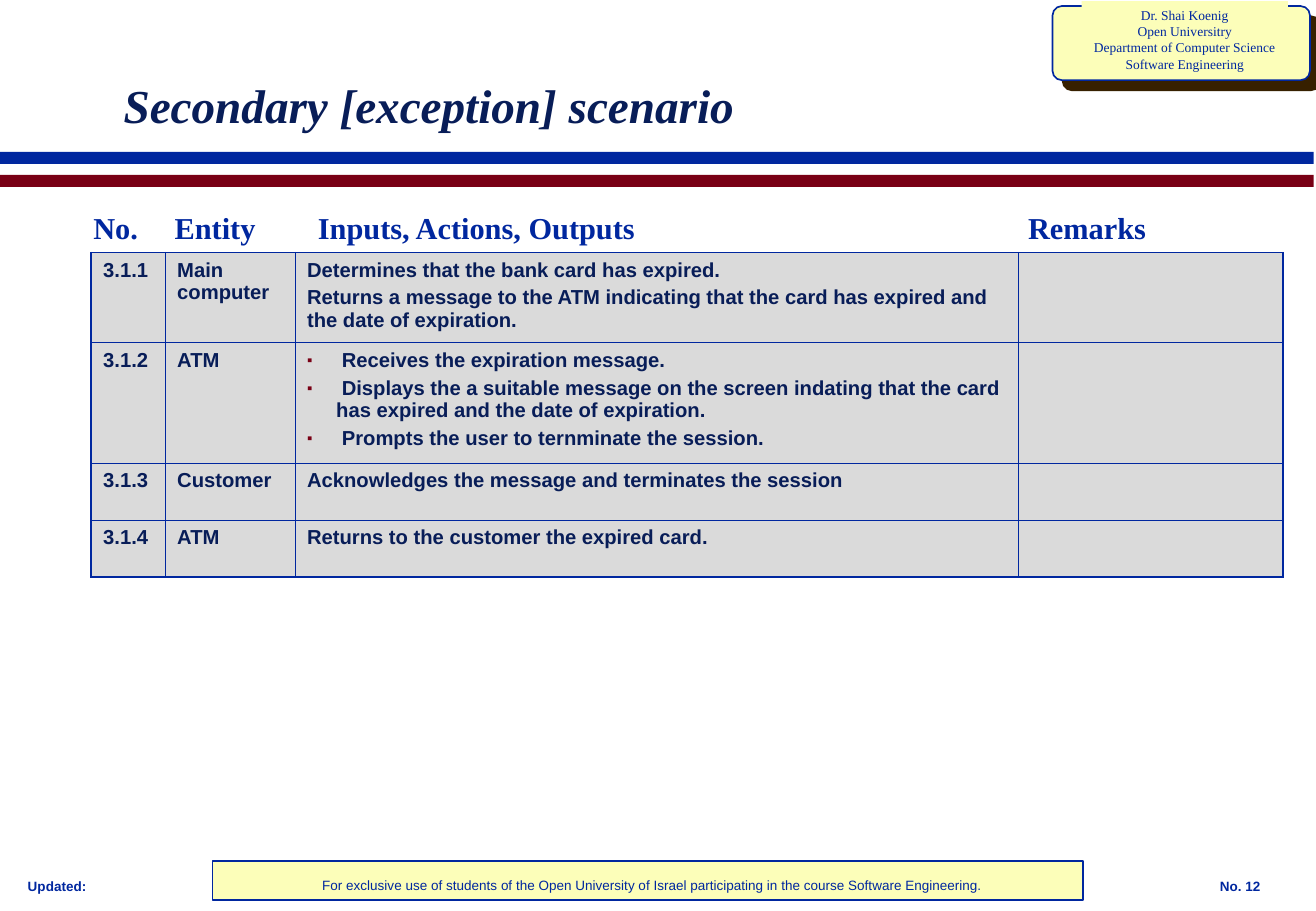
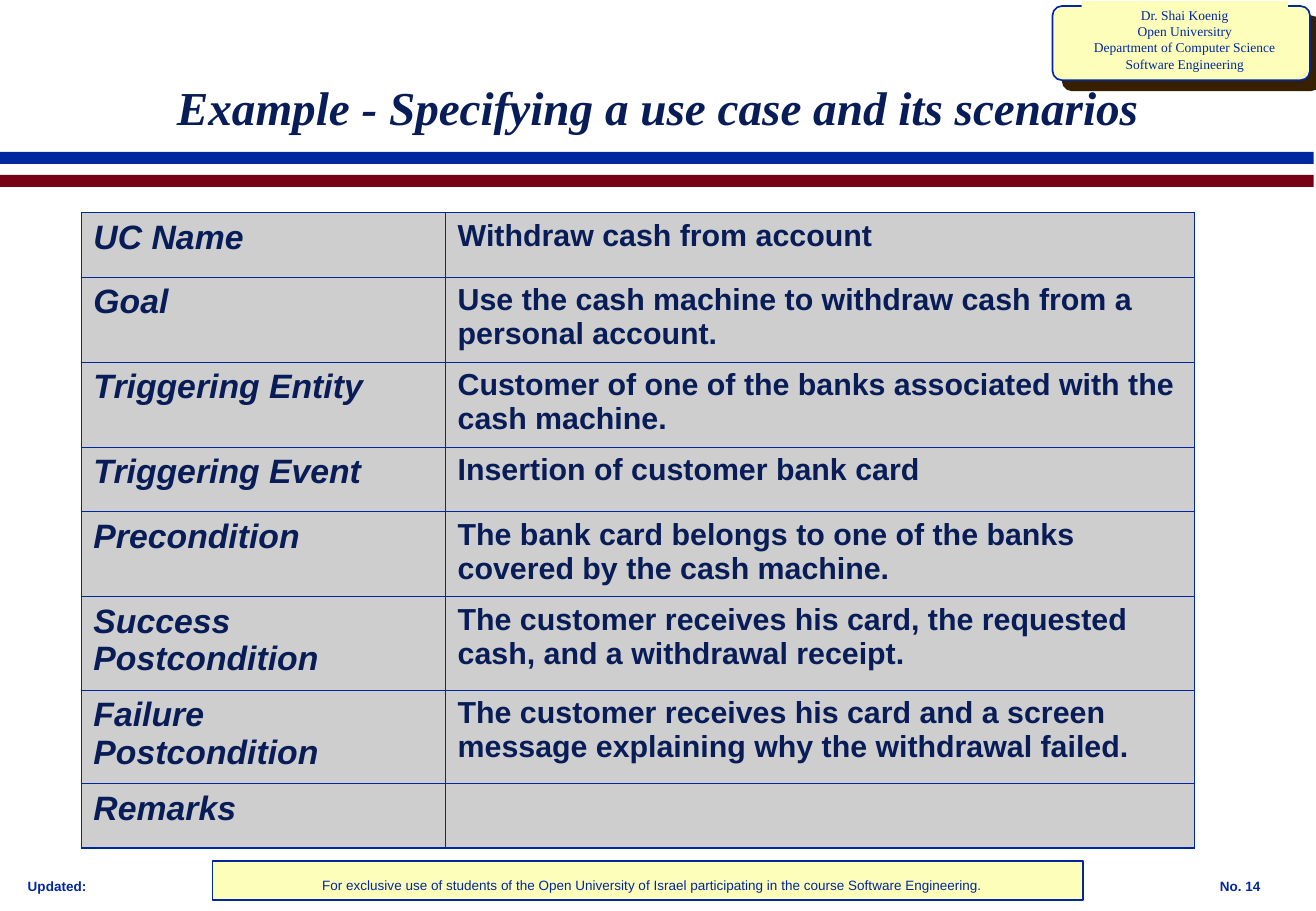
from lxml import etree
from pptx import Presentation
from pptx.dml.color import RGBColor
from pptx.enum.shapes import MSO_SHAPE
from pptx.enum.text import MSO_ANCHOR, PP_ALIGN
from pptx.oxml.ns import qn
from pptx.util import Pt

RECT, ROUND = MSO_SHAPE.RECTANGLE, MSO_SHAPE.ROUNDED_RECTANGLE
LEFT, CENTER = PP_ALIGN.LEFT, PP_ALIGN.CENTER
TOP, MIDDLE = MSO_ANCHOR.TOP, MSO_ANCHOR.MIDDLE
SERIF, SANS = "Times New Roman", "Arial"
EMU_PER_PX = 9144
OUTER, INNER = 1.08, 0.45

COLORS = {
    "blue": "00279F",
    "maroon": "790015",
    "yellow": "FCFEB9",
    "brown": "372000",
    "navy": "081D58",
    "light": "DADADA",
    "gray": "CECECE",
}

BADGE = "Dr. Shai Koenig\nOpen Universitry\nDepartment of Computer Science\nSoftware Engineering"
NOTICE = ("For exclusive use of students of the Open University of Israel "
          "participating in the course Software Engineering.")

SCENARIO = [
    ("3.1.1", "Main computer",
     "Determines that the bank card has expired.\n"
     "Returns a message to the ATM indicating that the card has expired and the date of expiration.", ""),
    ("3.1.2", "ATM",
     " Receives the expiration message.\n"
     " Displays the a suitable message on the screen indating that the card has expired "
     "and the date of expiration.\n"
     " Prompts the user to ternminate the session.", ""),
    ("3.1.3", "Customer", "Acknowledges the message and terminates the session", ""),
    ("3.1.4", "ATM", "Returns to the customer the expired card.", ""),
]

USE_CASE = [
    ("UC Name", "Withdraw cash from account"),
    ("Goal", "Use the cash machine to withdraw cash from a personal account."),
    ("Triggering Entity", "Customer of one of the banks associated with the cash machine."),
    ("Triggering Event", "Insertion of customer bank card"),
    ("Precondition", "The bank card belongs to one of the banks covered by the cash machine."),
    ("Success Postcondition",
     "The customer receives his card, the requested cash, and a withdrawal receipt."),
    ("Failure Postcondition",
     "The customer receives his card and a screen message explaining why the withdrawal failed."),
    ("Remarks", ""),
]


def px(n):
    return n * EMU_PER_PX


def rgb(name):
    return RGBColor.from_string(COLORS[name])


def sub(parent, tag, **attrs):
    return etree.SubElement(parent, qn(tag), {k: str(v) for k, v in attrs.items()})


def add_bullet(p):
    pPr = p._p.get_or_add_pPr()
    pPr.set("marL", str(px(24)))
    pPr.set("indent", str(-px(24)))
    sub(sub(pPr, "a:buClr"), "a:srgbClr", val=COLORS["maroon"])
    sub(pPr, "a:buSzPct", val=75000)
    sub(pPr, "a:buFont", typeface=SANS)
    sub(pPr, "a:buChar", char="▪")


def add_tabs(p, stops):
    tabs = sub(p._p.get_or_add_pPr(), "a:tabLst")
    for stop in stops:
        sub(tabs, "a:tab", pos=px(stop), algn="l")


def write_text(tf, text, size=8, color="blue", font=SANS, bold=False, italic=False,
               align=LEFT, gap=0, bullet=False, tabs=()):
    for i, line in enumerate(text.split("\n")):
        p = tf.add_paragraph() if i else tf.paragraphs[0]
        if bullet:
            add_bullet(p)
        if tabs:
            add_tabs(p, tabs)
        p.alignment = align
        if i and gap:
            p.space_before = Pt(gap)
        r = p.add_run()
        r.text = line
        f = r.font
        f.size, f.name, f.bold, f.italic = Pt(size), font, bold, italic
        f.color.rgb = rgb(color)


def add_text(s, box, text, anchor=TOP, inset=10, **fmt):
    tf = s.shapes.add_textbox(*map(px, box)).text_frame
    tf.word_wrap = True
    tf.vertical_anchor = anchor
    tf.margin_left = tf.margin_right = px(inset)
    tf.margin_top = tf.margin_bottom = px(5)
    write_text(tf, text, **fmt)


def add_box(s, box, fill, line=None, shape=RECT):
    sp = s.shapes.add_shape(shape, *map(px, box))
    sp.shadow.inherit = False
    sp.fill.solid()
    sp.fill.fore_color.rgb = rgb(fill)
    if line:
        sp.line.color.rgb = rgb(line)
        sp.line.width = Pt(1)
    else:
        sp.line.fill.background()
    return sp


def add_badge(s):
    sp = add_box(s, (867, 5, 212, 61), "yellow", "blue", ROUND)
    sp.adjustments[0] = 0.125
    effects = sp._element.spPr.find(qn("a:effectLst"))
    shadow = sub(effects, "a:outerShdw", dist=Pt(8.5), dir=45 * 60000, algn="ctr", rotWithShape=0)
    sub(shadow, "a:srgbClr", val=COLORS["brown"])
    add_box(s, (891, 1, 170, 63), "yellow")
    add_text(s, (891, 1, 170, 63), BADGE, inset=2, font=SERIF, align=CENTER)


def add_slide(prs, title, title_box, number):
    s = prs.slides.add_slide(prs.slide_layouts[6])
    add_box(s, (175, 709, 717, 32), "yellow", "blue")
    add_box(s, (0, 125, 1082, 10), "blue")
    add_box(s, (0, 144, 1082, 10), "maroon")
    add_badge(s)
    add_text(s, (13, 718, 115, 23), "Updated:", bold=True)
    add_text(s, (995, 718, 85, 23), f"No. {number}", bold=True)
    add_text(s, (175, 717, 725, 24), NOTICE, align=CENTER)
    add_text(s, title_box, title, anchor=MIDDLE, size=28, color="navy", font=SERIF,
             bold=True, italic=True)
    return s


def set_borders(cell, **widths):
    tcPr = cell._tc.get_or_add_tcPr()
    for side, width in widths.items():
        ln = sub(tcPr, f"a:ln{side}", w=Pt(width))
        sub(sub(ln, "a:solidFill"), "a:srgbClr", val=COLORS["blue"])


def add_grid(s, left, top, widths, heights, rows, fill, formats):
    frame = s.shapes.add_table(len(rows), len(widths), px(left), px(top),
                               px(sum(widths)), px(sum(heights)))
    table = frame.table
    table.first_row = table.horz_banding = False
    for col, width in zip(table.columns, widths):
        col.width = px(width)
    for row, height in zip(table.rows, heights):
        row.height = px(height)
    last_row, last_col = len(rows) - 1, len(widths) - 1
    for i, row in enumerate(rows):
        for j, text in enumerate(row):
            cell = table.cell(i, j)
            set_borders(cell,
                        L=INNER if j else OUTER,
                        R=OUTER if j == last_col else INNER,
                        T=INNER if i else OUTER,
                        B=OUTER if i == last_row else INNER)
            cell.fill.solid()
            cell.fill.fore_color.rgb = rgb(fill)
            if text:
                write_text(cell.text_frame, text, color="navy", bold=True, gap=3,
                           bullet=text.startswith(" "), **formats[j])


def add_scenario_slide(prs):
    s = add_slide(prs, "Secondary [exception] scenario", (92, 58, 894, 57), 12)
    add_grid(s, 75, 208, (61, 107, 596, 218), (74, 99, 47, 47), SCENARIO, "light",
             [{"size": 12}] * 4)
    add_text(s, (67, 167, 992, 40), "No.\tEntity\tInputs, Actions, Outputs\tRemarks",
             size=18, font=SERIF, bold=True, tabs=(67, 185, 770))


def add_use_case_slide(prs):
    s = add_slide(prs, "Example - Specifying a use case and its scenarios", (136, 50, 850, 75), 14)
    add_grid(s, 67, 175, (300, 617), (53, 70, 70, 53, 70, 77, 77, 53), USE_CASE, "gray",
             [{"size": 20, "italic": True}, {"size": 18}])


def main():
    prs = Presentation()
    prs.slide_width, prs.slide_height = px(1084), px(750)
    add_scenario_slide(prs)
    add_use_case_slide(prs)
    prs.save("out.pptx")


if __name__ == "__main__":
    main()
